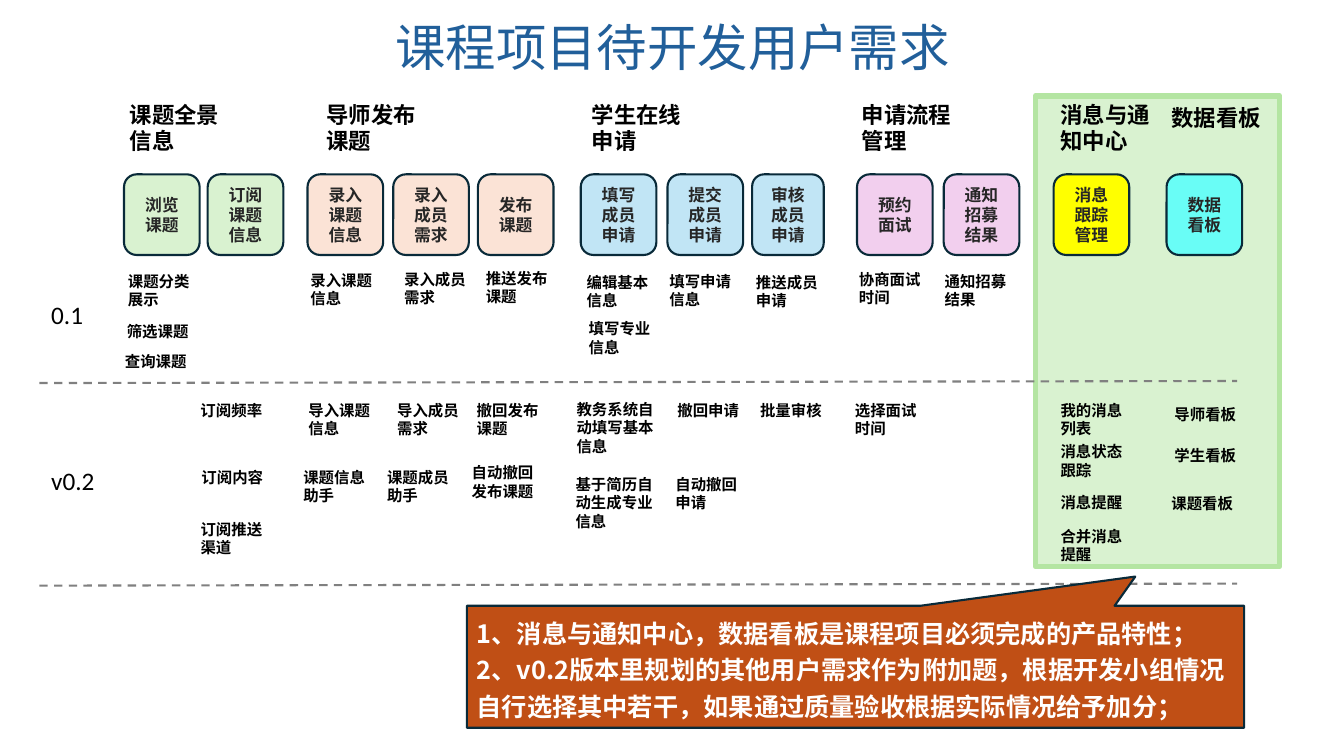
"""Builds the user story map slide for the course project."""
from math import ceil

from lxml.etree import SubElement
from pptx import Presentation
from pptx.dml.color import RGBColor
from pptx.enum.dml import MSO_LINE
from pptx.enum.shapes import MSO_CONNECTOR, MSO_SHAPE
from pptx.enum.text import MSO_ANCHOR, MSO_AUTO_SIZE, PP_ALIGN
from pptx.oxml.ns import qn
from pptx.util import Pt

PX = 9144
CJK = "Noto Sans CJK SC"
THEME = {
    "title": {"name": "Calibri", "size": Pt(36), "bold": False, "color": "215F9A"},
    "heading": {"name": CJK, "size": Pt(16), "bold": True, "color": "000000"},
    "card": {"name": CJK, "size": Pt(12), "bold": True, "color": "262626"},
    "story": {"name": "Calibri", "size": Pt(11), "bold": True, "color": "000000"},
    "version": {"name": "Calibri", "size": Pt(18), "bold": False, "color": "000000"},
    "callout": {"name": CJK, "size": Pt(18), "bold": True, "color": "FFFFFF"},
    "green": "D9F2D0", "frame": "B4E5A2", "peach": "FBE3D6", "blue": "C1E5F5",
    "pink": "F2CFEE", "yellow": "FFFF00", "cyan": "69FDF6", "rust": "C04F15",
    "outline": "092A39", "divider": "808080",
}


def write(shape, text, style, align, spacing=None):
    """Fills a shape with one formatted paragraph per line of text."""
    shape.text_frame.word_wrap = True
    shape.text_frame.text = text
    for para in shape.text_frame.paragraphs:
        para.alignment = align
        para.line_spacing = spacing
        for span in para.runs:
            for field, value in THEME[style].items():
                if field == "color":
                    span.font.color.rgb = RGBColor.from_string(value)
                else:
                    setattr(span.font, field, value)
            SubElement(span.font._element, qn("a:ea"), typeface=CJK)


def add_panel(kind, box, fill, line, weight):
    """Adds a filled, outlined shape with its text centred vertically."""
    shape = page.shapes.add_shape(kind, *(value * PX for value in box))
    shape.shadow.inherit = False
    shape.fill.solid()
    shape.fill.fore_color.rgb = RGBColor.from_string(THEME[fill])
    shape.line.color.rgb = RGBColor.from_string(THEME[line])
    shape.line.width = Pt(weight)
    shape.text_frame.vertical_anchor = MSO_ANCHOR.MIDDLE
    return shape


deck = Presentation()
deck.slide_width, deck.slide_height = 1333 * PX, 750 * PX
page = deck.slides.add_slide(deck.slide_layouts[5])

title = page.shapes.title
title.left, title.top, title.width, title.height = 92 * PX, 5 * PX, 1150 * PX, 90 * PX
title.text_frame.vertical_anchor = MSO_ANCHOR.MIDDLE
write(title, "课程项目待开发用户需求", "title", PP_ALIGN.CENTER, 0.9)

add_panel(MSO_SHAPE.RECTANGLE, (1027, 95, 242, 467), "green", "frame", 4)

cards = [
    ("浏览课题", 123, 75, "green"), ("订阅课题信息", 206, 75, "green"),
    ("录入课题信息", 305, 75, "peach"), ("录入成员需求", 390, 75, "peach"),
    ("发布课题", 474, 75, "peach"), ("填写成员申请", 576, 75, "blue"),
    ("提交成员申请", 662, 75, "blue"), ("审核\n成员\n申请", 746, 71, "blue"),
    ("预约面试", 850, 75, "pink"), ("通知招募结果", 936, 75, "pink"),
    ("消息跟踪管理", 1045, 75, "yellow"), ("数据看板", 1157, 75, "cyan"),
]
for text, left, width, fill in cards:
    card = add_panel(MSO_SHAPE.ROUNDED_RECTANGLE, (left, 173, width, 80), fill, "outline", 1.5)
    write(card, text, "card", PP_ALIGN.CENTER)

labels = {
    "heading": [
        ("课题全景信息", 119, 95, 118), ("导师发布课题", 314, 95, 118),
        ("学生在线申请", 577, 95, 118), ("申请流程管理", 845, 95, 121),
        ("消息与通知中心", 1042, 95, 110), ("数据看板", 1152, 98, 111),
    ],
    "version": [("0.1", 41, 292, 56), ("v0.2", 41, 457, 66)],
    "story": [
        ("课题分类展示", 117, 265, 89), ("筛选课题", 116, 315, 83),
        ("查询课题", 114, 344, 83), ("录入课题信息", 298, 264, 89),
        ("录入成员需求", 391, 263, 82), ("推送发布课题", 472, 262, 82),
        ("编辑基本信息", 572, 266, 88), ("填写专业信息", 574, 312, 88),
        ("填写申请信息", 654, 265, 88), ("推送成员申请", 740, 266, 90),
        ("协商面试时间", 842, 263, 82), ("通知招募结果", 927, 265, 88),
        ("订阅频率", 189, 393, 83), ("订阅内容", 190, 459, 83),
        ("订阅推送渠道", 189, 511, 85), ("导入课题信息", 296, 393, 82),
        ("课题信息助手", 291, 459, 85), ("导入成员需求", 384, 393, 82),
        ("课题成员助手", 374, 459, 85), ("撤回发布课题", 463, 393, 92),
        ("自动撤回发布课题", 458, 455, 91), ("教务系统自动填写基本信息", 562, 392, 97),
        ("基于简历自动生成专业信息", 561, 466, 99), ("撤回申请", 662, 393, 129),
        ("自动撤回申请", 660, 466, 87), ("批量审核", 744, 393, 87),
        ("选择面试时间", 838, 393, 85), ("我的消息列表", 1042, 393, 85),
        ("消息状态跟踪", 1042, 434, 85), ("消息提醒", 1042, 484, 129),
        ("合并消息提醒", 1042, 518, 85), ("导师看板", 1155, 397, 96),
        ("学生看板", 1155, 438, 96), ("课题看板", 1152, 485, 96),
    ],
}
for style, entries in labels.items():
    points = THEME[style]["size"].pt
    for text, left, top, width in entries:
        per_line = int((width - 20) * 0.72 / points)
        lines = 1 if style == "version" else ceil(len(text) / per_line)
        height = round(10 + lines * points * 1.68)
        label = page.shapes.add_textbox(left * PX, top * PX, width * PX, height * PX)
        write(label, text, style, PP_ALIGN.LEFT)
        label.text_frame.auto_size = MSO_AUTO_SIZE.SHAPE_TO_FIT_TEXT

for start in (380, 581):
    divider = page.shapes.add_connector(
        MSO_CONNECTOR.STRAIGHT, 39 * PX, start * PX, 1227 * PX, (start - 2) * PX)
    divider.line.color.rgb = RGBColor.from_string(THEME["divider"])
    divider.line.width = Pt(1.5)
    divider.line.dash_style = MSO_LINE.DASH
    SubElement(divider._element.spPr, qn("a:effectLst"))

callout = add_panel(
    MSO_SHAPE.RECTANGULAR_CALLOUT, (463, 601, 771, 121), "rust", "outline", 1.5)
callout.adjustments[0], callout.adjustments[1] = 0.36, -0.74
write(callout, "1、消息与通知中心，数据看板是课程项目必须完成的产品特性；\n"
      "2、v0.2版本里规划的其他用户需求作为附加题，根据开发小组情况自行选择其中若干，"
      "如果通过质量验收根据实际情况给予加分；", "callout", PP_ALIGN.LEFT, 1.2)

deck.save("out.pptx")
